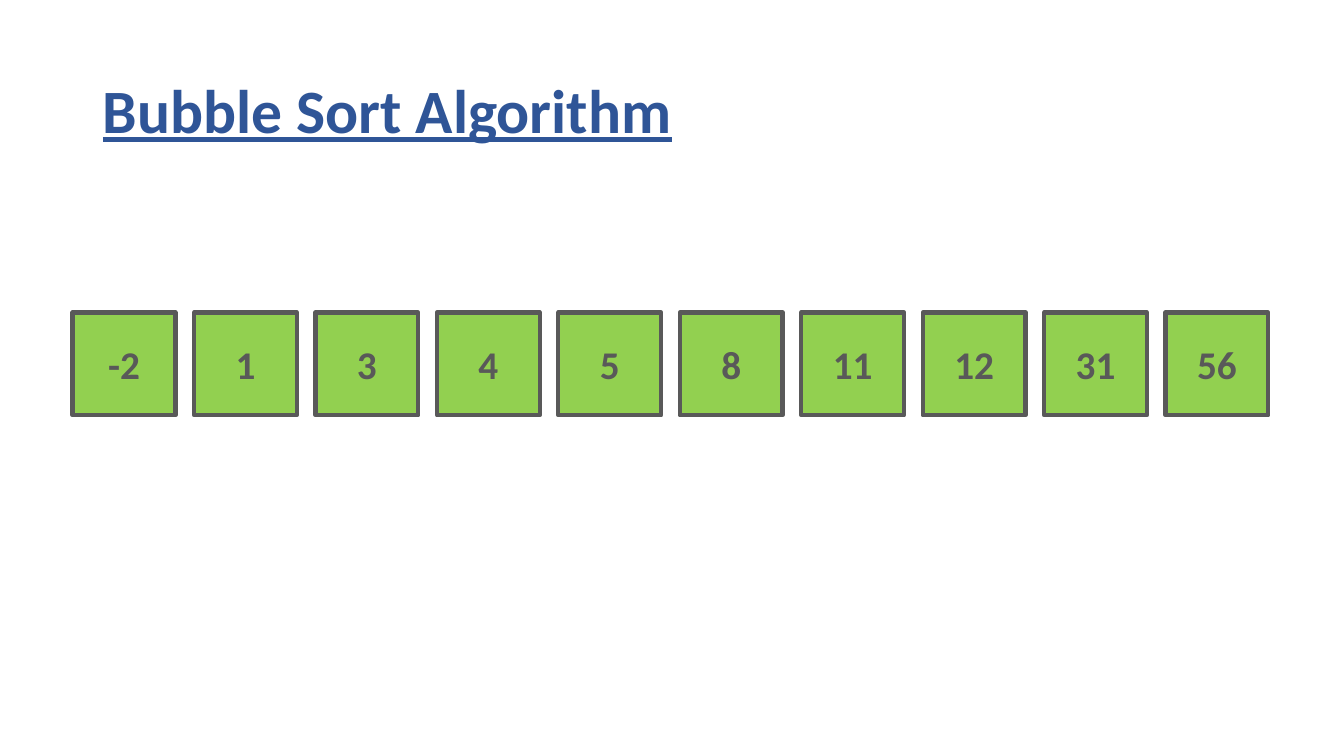
from pptx import Presentation
from pptx import util as u
from pptx.dml import color
from pptx.enum import shapes, text


def tint(code):
    """Turn a hex string into a colour."""
    return color.RGBColor.from_string(code)


class Deck:
    """Hold the style and the current slide."""

    font = "Calibri"
    blue, green, gray = "2F5597", "92D050", "595959"

    def __init__(self, show):
        """Add a title-only slide."""
        self.slide = show.slides.add_slide(show.slide_layouts[5])

    def style(self, frame, size, code, align, under=False):
        """Format all text in a frame."""
        frame.vertical_anchor = text.MSO_ANCHOR.MIDDLE
        frame.word_wrap = True
        for line in frame.paragraphs:
            line.alignment = align
            for run in line.runs:
                font = run.font
                font.name, font.size = self.font, u.Pt(size)
                font.bold, font.underline = True, under
                font.color.rgb = tint(code)

    def title(self, words, left, top, width, height):
        """Place and fill the title."""
        head = self.slide.shapes.title
        head.left, head.top = u.Inches(left), u.Inches(top)
        head.width, head.height = u.Inches(width), u.Inches(height)
        frame = head.text_frame
        frame.text = words
        frame.auto_size = text.MSO_AUTO_SIZE.NONE
        frame.paragraphs[0].line_spacing = 0.9
        self.style(frame, 44, self.blue, text.PP_ALIGN.LEFT, True)

    def cell(self, value, left, top, side):
        """Draw one square of the array."""
        box = self.slide.shapes.add_shape(
            shapes.MSO_SHAPE.RECTANGLE,
            u.Inches(left), u.Inches(top), u.Inches(side), u.Inches(side))
        box.shadow.inherit = False
        box.fill.solid()
        box.fill.fore_color.rgb = tint(self.green)
        box.line.color.rgb = tint(self.gray)
        box.line.width = u.Pt(3)
        box.text_frame.text = str(value)
        self.style(box.text_frame, 28, self.gray, text.PP_ALIGN.CENTER)

    def row(self, values, left, top, side, last):
        """Spread the array evenly from left to last."""
        step = (last - left) / (len(values) - 1)
        for i, value in enumerate(values):
            self.cell(value, left + i * step, top, side)


def main():
    """Build and save the slide."""
    show = Presentation()
    show.slide_width, show.slide_height = u.Inches(13.33), u.Inches(7.5)
    deck = Deck(show)
    deck.title("Bubble Sort Algorithm", 0.92, 0.4, 11.5, 1.45)
    deck.row([-2, 1, 3, 4, 5, 8, 11, 12, 31, 56], 0.72, 3.1, 1.02, 11.56)
    show.save("out.pptx")


if __name__ == "__main__":
    main()
